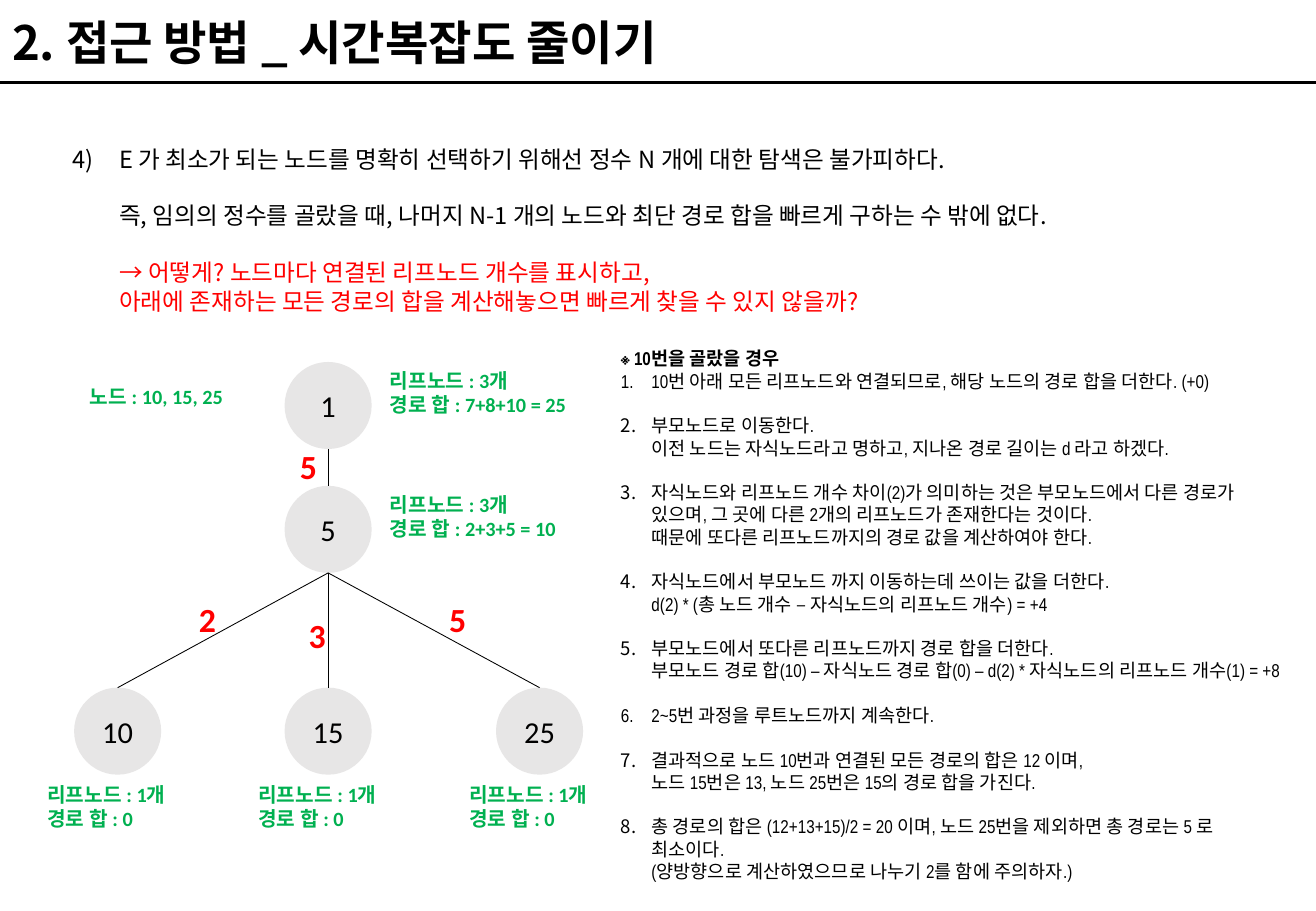
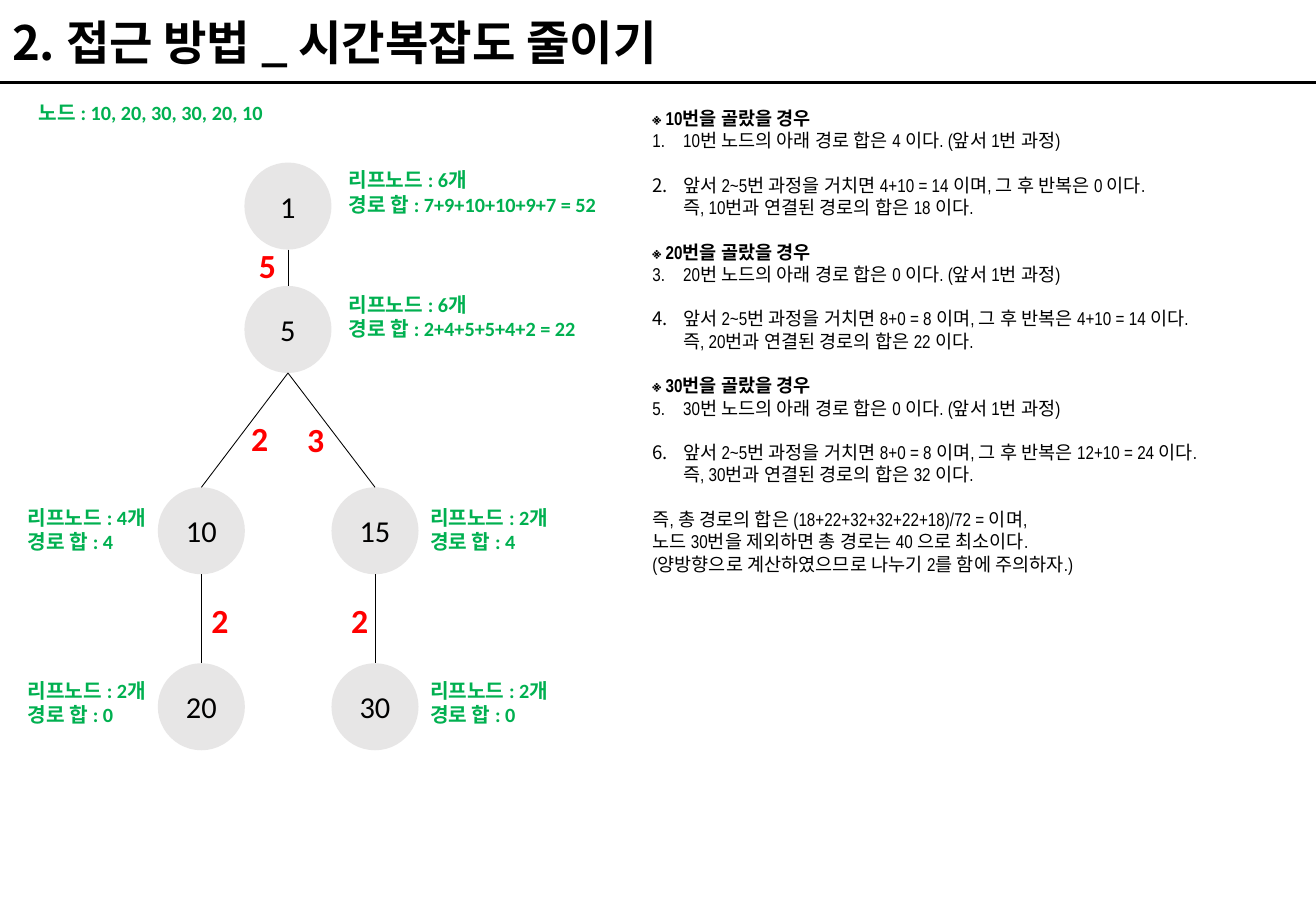
"""Build two slides that explain how leaf counts and path sums speed up a tree search."""
from dataclasses import dataclass, replace
from typing import Optional

from lxml import etree
from pptx import Presentation
from pptx import util as u
from pptx.dml.color import RGBColor
from pptx.enum import shapes, text
from pptx.oxml.ns import qn

COLORS = {"ink": "000000", "accent": "FF0000", "note": "00B050", "node": "E7E6E6"}
KOREAN = "Noto Sans CJK KR"
PAGE_WIDTH, PAGE_HEIGHT = 27.51, 19.05
TITLE = "2. 접근 방법 _ 시간복잡도 줄이기"
TITLE_WIDTH, TITLE_HEIGHT = 16.05, 1.73
NODE_SIZE = 1.82
NOTE_HEIGHT, LIST_HEIGHT = 1.27, 0.76
WIDE, NARROW = 6.35, 3.45
WEIGHT_SIZE = (0.76, 1.12)
PANEL_WIDTH = 14.35
STEP_INDENT = 0.64
LINE_FACTOR = 1.2

Point = tuple[float, float]
Box = tuple[float, float, float, float]


@dataclass(frozen=True)
class Style:
    """Look of a paragraph."""
    size: float
    color: str = "ink"
    font: str = "Calibri"
    bold: bool = False
    align: text.PP_ALIGN = text.PP_ALIGN.LEFT

    @property
    def line(self) -> u.Pt:
        """Height of one line."""
        return u.Pt(self.size * LINE_FACTOR)


@dataclass(frozen=True)
class Node:
    """Tree node with its note and the weight of the edge to its parent."""
    value: int
    center: float
    top: float
    leaves: int
    total: str
    note_at: Point
    note_width: float = NARROW
    parent: Optional[int] = None
    weight: int = 0
    weight_at: Point = (0, 0)


@dataclass(frozen=True)
class Case:
    """Worked case: a chosen node and the steps for it."""
    chosen: int
    steps: tuple[str, ...]


@dataclass(frozen=True)
class Page:
    """Content of one slide."""
    nodes: tuple[Node, ...]
    node_list: str
    list_box: Box
    cases: tuple[Case, ...]
    panel_box: Box
    closing: str = ""
    statement: tuple[str, ...] = ()
    question: str = ""


TITLE_STYLE = Style(28, font=KOREAN, bold=True)
STATEMENT_STYLE = Style(14, font=KOREAN)
VALUE_STYLE = Style(18, align=text.PP_ALIGN.CENTER)
NOTE_STYLE = Style(12, "note", bold=True)
WEIGHT_STYLE = Style(20, "accent", bold=True)
STEP_STYLE = Style(11, font="Arial Narrow")
CASE_STYLE = replace(STEP_STYLE, bold=True)

PAGES = (
    Page(
        nodes=(
            Node(1, 6.86, 7.57, 3, "7+8+10 = 25", (7.9, 7.57), WIDE),
            Node(5, 6.86, 10.16, 3, "2+3+5 = 10", (7.9, 10.16), WIDE, 0, 5, (6.02, 9.19)),
            Node(10, 2.46, 14.38, 1, "0", (0.74, 16.23), NARROW, 1, 2, (3.91, 12.4)),
            Node(15, 6.86, 14.38, 1, "0", (5.15, 16.23), NARROW, 1, 3, (6.2, 12.73)),
            Node(25, 11.28, 14.38, 1, "0", (9.56, 16.23), NARROW, 1, 5, (9.14, 12.4)),
        ),
        node_list="노드 : 10, 15, 25",
        list_box=(1.63, 7.92, 3.71, LIST_HEIGHT),
        cases=(Case(10, (
            "10번 아래 모든 리프노드와 연결되므로, 해당 노드의 경로 합을 더한다. (+0)",
            "부모노드로 이동한다.\n"
            "이전 노드는 자식노드라고 명하고, 지나온 경로 길이는 d 라고 하겠다.",
            "자식노드와 리프노드 개수 차이(2)가 의미하는 것은 부모노드에서 다른 경로가 있으며, "
            "그 곳에 다른 2개의 리프노드가 존재한다는 것이다.\n"
            "때문에 또다른 리프노드까지의 경로 값을 계산하여야 한다.",
            "자식노드에서 부모노드 까지 이동하는데 쓰이는 값을 더한다.\n"
            "d(2) * (총 노드 개수 – 자식노드의 리프노드 개수) = +4",
            "부모노드에서 또다른 리프노드까지 경로 합을 더한다.\n"
            "부모노드 경로 합(10) – 자식노드 경로 합(0) – d(2) * 자식노드의 리프노드 개수(1) = +8",
            "2~5번 과정을 루트노드까지 계속한다.",
            "결과적으로 노드 10번과 연결된 모든 경로의 합은 12 이며,\n"
            "노드 15번은 13, 노드 25번은 15의 경로 합을 가진다.",
            "총 경로의 합은 (12+13+15)/2 = 20 이며, 노드 25번을 제외하면 총 경로는 5 로 최소이다.\n"
            "(양방향으로 계산하였으므로 나누기 2를 함에 주의하자.)",
        )),),
        panel_box=(12.73, 7.14, PANEL_WIDTH, 11.53),
        statement=(
            "E 가 최소가 되는 노드를 명확히 선택하기 위해선 정수 N 개에 대한 탐색은 불가피하다.",
            "즉, 임의의 정수를 골랐을 때, 나머지 N-1 개의 노드와 최단 경로 합을 "
            "빠르게 구하는 수 밖에 없다.",
        ),
        question="→ 어떻게? 노드마다 연결된 리프노드 개수를 표시하고,\n"
                 "아래에 존재하는 모든 경로의 합을 계산해놓으면 빠르게 찾을 수 있지 않을까?",
    ),
    Page(
        nodes=(
            Node(1, 6.02, 3.4, 6, "7+9+10+10+9+7 = 52", (7.04, 3.38), WIDE),
            Node(5, 6.02, 5.98, 6, "2+4+5+5+4+2 = 22", (7.04, 5.99), WIDE, 0, 5, (5.16, 5)),
            Node(10, 4.21, 10.19, 4, "4", (0.33, 10.44), NARROW, 1, 2, (5, 8.61)),
            Node(15, 7.84, 10.19, 2, "4", (8.74, 10.44), NARROW, 1, 3, (6.17, 8.64)),
            Node(20, 4.21, 13.87, 2, "0", (0.33, 14.05), NARROW, 2, 2, (4.17, 12.42)),
            Node(30, 7.84, 13.87, 2, "0", (8.74, 14.05), NARROW, 3, 2, (7.09, 12.42)),
        ),
        node_list="노드 : 10, 20, 30, 30, 20, 10",
        list_box=(0.56, 1.98, WIDE, LIST_HEIGHT),
        cases=tuple(
            Case(chosen, (
                f"{chosen}번 노드의 아래 경로 합은 {below} 이다. (앞서 1번 과정)",
                f"앞서 2~5번 과정을 거치면 {first} 이며, 그 후 반복은 {rest} 이다.\n"
                f"즉, {chosen}번과 연결된 경로의 합은 {total} 이다.",
            ))
            for chosen, below, first, rest, total in (
                (10, 4, "4+10 = 14", "0", 18),
                (20, 0, "8+0 = 8", "4+10 = 14", 22),
                (30, 0, "8+0 = 8", "12+10 = 24", 32),
            )
        ),
        panel_box=(13.39, 2.11, PANEL_WIDTH, 10.13),
        closing="즉, 총 경로의 합은 (18+22+32+32+22+18)/72 = 이며,\n"
                "노드 30번을 제외하면 총 경로는 40 으로 최소이다.\n"
                "(양방향으로 계산하였으므로 나누기 2를 함에 주의하자.)",
    ),
)


def rgb(name: str) -> RGBColor:
    """Return a named colour."""
    return RGBColor.from_string(COLORS[name])


def write(paragraph, words: str, style: Style) -> None:
    """Fill a paragraph and format it."""
    paragraph.text = words.replace("\n", "\v")
    paragraph.alignment = style.align
    paragraph.line_spacing = style.line
    font = paragraph.font
    font.size, font.bold, font.name = u.Pt(style.size), style.bold, style.font
    font.color.rgb = rgb(style.color)
    defaults = paragraph._p.pPr.find(qn("a:defRPr"))
    etree.SubElement(defaults, qn("a:ea"), typeface=KOREAN)


def hang(paragraph, margin: float, indent: float, scheme: str = "", number: int = 1) -> None:
    """Indent a paragraph and number it when a scheme is given."""
    properties = paragraph._p.get_or_add_pPr()
    properties.set("marL", str(u.Cm(margin)))
    properties.set("indent", str(-u.Cm(indent) if scheme else 0))
    if scheme:
        etree.SubElement(properties, qn("a:buAutoNum"), type=scheme, startAt=str(number))


def add_frame(slide, box: Box):
    """Add a wrapping text box and return its text frame."""
    frame = slide.shapes.add_textbox(*map(u.Cm, box)).text_frame
    frame.word_wrap = True
    return frame


def add_label(slide, box: Box, words: str, style: Style) -> None:
    """Add a text box of one paragraph."""
    write(add_frame(slide, box).paragraphs[0], words, style)


def add_line(slide, start: Point, end: Point, width: float) -> None:
    """Draw a straight black line without a shadow."""
    line = slide.shapes.add_connector(
        shapes.MSO_CONNECTOR.STRAIGHT, *map(u.Cm, (*start, *end)))
    line.line.color.rgb = rgb("ink")
    line.line.width = u.Pt(width)
    etree.SubElement(line._element.spPr, qn("a:effectLst"))


def add_heading(slide) -> None:
    """Place the title and the rule under it."""
    title = slide.shapes.title
    title.left = title.top = u.Cm(0)
    title.width, title.height = u.Cm(TITLE_WIDTH), u.Cm(TITLE_HEIGHT)
    frame = title.text_frame
    frame.word_wrap = True
    frame.auto_size = text.MSO_AUTO_SIZE.NONE
    frame.vertical_anchor = text.MSO_ANCHOR.MIDDLE
    write(frame.paragraphs[0], TITLE, TITLE_STYLE)
    add_line(slide, (0, TITLE_HEIGHT), (PAGE_WIDTH, TITLE_HEIGHT), 1.5)


def add_node(slide, node: Node, nodes: tuple[Node, ...]) -> None:
    """Draw a node, its note and the edge from its parent."""
    circle = slide.shapes.add_shape(
        shapes.MSO_SHAPE.OVAL,
        *map(u.Cm, (node.center - NODE_SIZE / 2, node.top, NODE_SIZE, NODE_SIZE)))
    circle.shadow.inherit = False
    circle.fill.solid()
    circle.fill.fore_color.rgb = rgb("node")
    circle.line.fill.background()
    circle.text_frame.vertical_anchor = text.MSO_ANCHOR.MIDDLE
    write(circle.text_frame.paragraphs[0], str(node.value), VALUE_STYLE)
    add_label(slide, (*node.note_at, node.note_width, NOTE_HEIGHT),
              f"리프노드 : {node.leaves}개\n경로 합 : {node.total}", NOTE_STYLE)
    if node.parent is not None:
        parent = nodes[node.parent]
        add_line(slide, (parent.center, parent.top + NODE_SIZE), (node.center, node.top), 0.5)
        add_label(slide, (*node.weight_at, *WEIGHT_SIZE), str(node.weight), WEIGHT_STYLE)


def add_statement(slide, page: Page) -> None:
    """Write the numbered statement and the question that follows it."""
    frame = add_frame(slide, (0, 2.9, PAGE_WIDTH, 3.86))
    entries = [(words, STATEMENT_STYLE) for words in page.statement]
    entries.append((page.question, replace(STATEMENT_STYLE, color="accent")))
    for index, (words, style) in enumerate(entries):
        paragraph = frame.add_paragraph() if index else frame.paragraphs[0]
        hang(paragraph, 2.24, 0.97, "" if index else "arabicParenR", 4)
        write(paragraph, words, style)
        paragraph.space_after = style.line


def add_panel(slide, page: Page) -> None:
    """Write the cases with steps numbered through, then the closing words."""
    frame = add_frame(slide, page.panel_box)
    paragraph, number = frame.paragraphs[0], 0
    for case in page.cases:
        write(paragraph, f"※ {case.chosen}번을 골랐을 경우", CASE_STYLE)
        for number, step in enumerate(case.steps, number + 1):
            paragraph = frame.add_paragraph()
            hang(paragraph, STEP_INDENT, STEP_INDENT, "arabicPeriod", number)
            write(paragraph, step, STEP_STYLE)
            paragraph.space_after = STEP_STYLE.line
        if case is not page.cases[-1]:
            paragraph = frame.add_paragraph()
    if page.closing:
        write(frame.add_paragraph(), page.closing, STEP_STYLE)


def main() -> None:
    """Build and save the presentation."""
    deck = Presentation()
    deck.slide_width, deck.slide_height = u.Cm(PAGE_WIDTH), u.Cm(PAGE_HEIGHT)
    for page in PAGES:
        slide = deck.slides.add_slide(deck.slide_layouts[5])
        add_heading(slide)
        if page.statement:
            add_statement(slide, page)
        for node in page.nodes:
            add_node(slide, node, page.nodes)
        add_label(slide, page.list_box, page.node_list, NOTE_STYLE)
        add_panel(slide, page)
    deck.save("out.pptx")


main()
